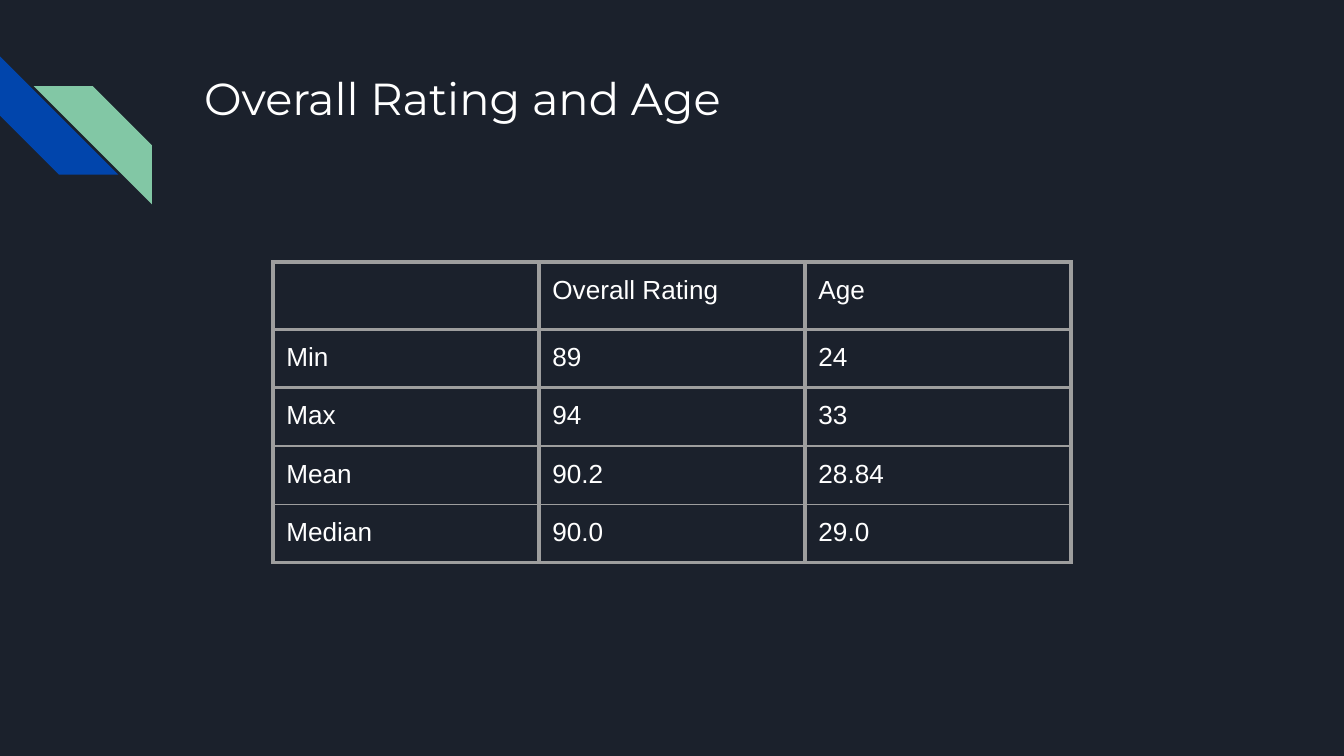
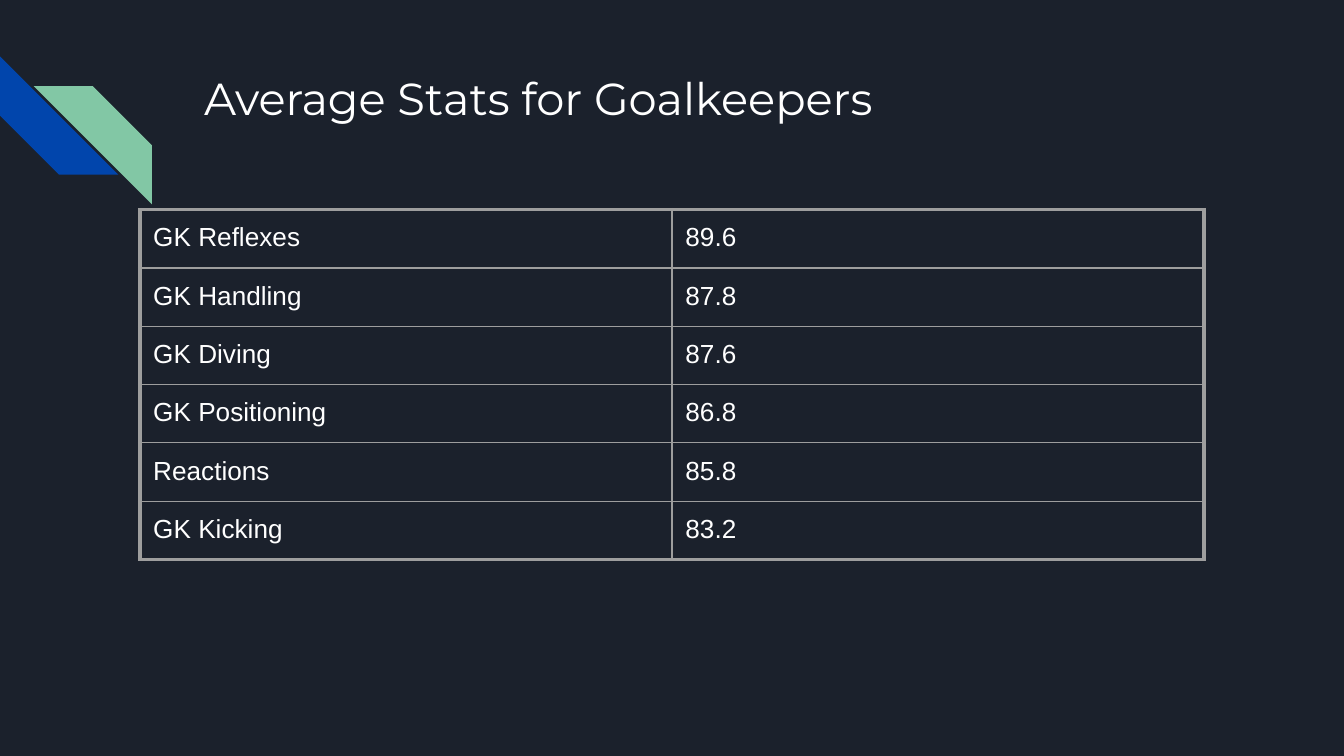
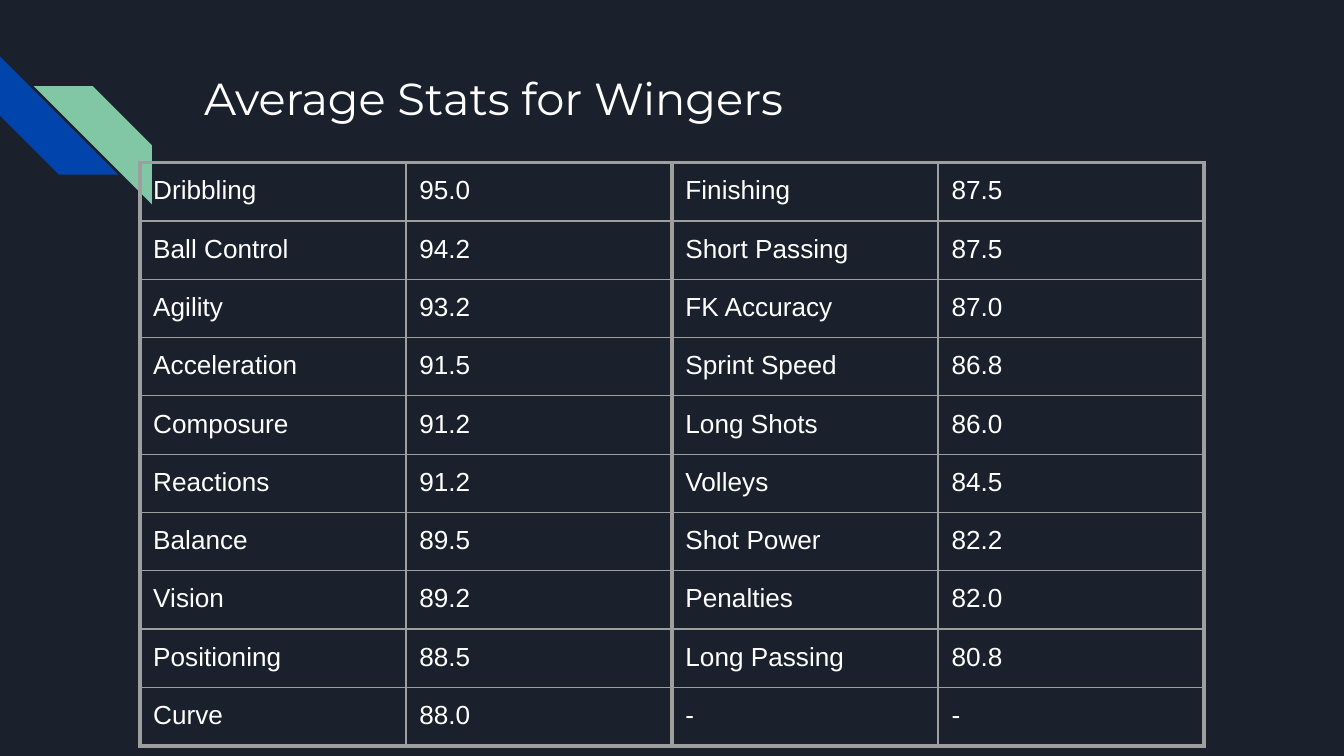
from lxml import etree
from pptx import Presentation
from pptx.dml.color import RGBColor
from pptx.enum.shapes import MSO_SHAPE
from pptx.oxml.ns import qn
from pptx.util import Inches, Pt

STRIPE = MSO_SHAPE.DIAGONAL_STRIPE

NAVY = RGBColor(0x1B, 0x21, 0x2C)
BLUE = RGBColor(0x01, 0x45, 0xAC)
GREEN = RGBColor(0x82, 0xC7, 0xA5)
WHITE = RGBColor(0xFF, 0xFF, 0xFF)
GREY = RGBColor(0x9E, 0x9E, 0x9E)

THICK = Pt(2.25)
THIN = Pt(0.75)
ROW_HEIGHT = Inches(0.42)
STRIPE_SIZE = Inches(0.88)

TITLE_FONT = {"name": "Montserrat", "size": Pt(24)}
STAT_FONT = {"name": "Arial", "size": Pt(14)}
MARGINS = {f"margin_{side}": Inches(0.1) for side in ("left", "right", "top", "bottom")}
SPACING = {"line_spacing": 1.0, "space_before": Pt(0), "space_after": Pt(0)}
TABLE_FLAGS = {"first_row": False, "horz_banding": False}

STRIPES = [
    (0, 0.42, 270, BLUE),
    (0.25, 0.64, 90, GREEN),
]

SLIDES = [
    {
        "title": "Overall Rating and Age",
        "left": 2.03, "top": 1.95, "column": 1.98,
        "thick_columns": {0, 1, 2, 3}, "thick_rows": {0, 1, 2, 5},
        "stats": [
            ("", "Overall Rating", "Age"),
            ("Min", "89", "24"),
            ("Max", "94", "33"),
            ("Mean", "90.2", "28.84"),
            ("Median", "90.0", "29.0"),
        ],
    },
    {
        "title": "Average Stats for Goalkeepers",
        "left": 1.04, "top": 1.56, "column": 3.96,
        "thick_columns": {0, 2}, "thick_rows": {0, 6},
        "stats": [
            ("GK Reflexes", "89.6"),
            ("GK Handling", "87.8"),
            ("GK Diving", "87.6"),
            ("GK Positioning", "86.8"),
            ("Reactions", "85.8"),
            ("GK Kicking", "83.2"),
        ],
    },
    {
        "title": "Average Stats for Wingers",
        "left": 1.04, "top": 1.21, "column": 1.98,
        "thick_columns": {0, 2, 4}, "thick_rows": {0, 10},
        "stats": [
            ("Dribbling", "95.0", "Finishing", "87.5"),
            ("Ball Control", "94.2", "Short Passing", "87.5"),
            ("Agility", "93.2", "FK Accuracy", "87.0"),
            ("Acceleration", "91.5", "Sprint Speed", "86.8"),
            ("Composure", "91.2", "Long Shots", "86.0"),
            ("Reactions", "91.2", "Volleys", "84.5"),
            ("Balance", "89.5", "Shot Power", "82.2"),
            ("Vision", "89.2", "Penalties", "82.0"),
            ("Positioning", "88.5", "Long Passing", "80.8"),
            ("Curve", "88.0", "-", "-"),
        ],
    },
]


def write(holder, frame, text, font):
    for name, value in MARGINS.items():
        setattr(holder, name, value)
    paragraph = frame.paragraphs[0]
    for name, value in SPACING.items():
        setattr(paragraph, name, value)
    if text:
        run = paragraph.add_run()
        run.text = text
        for name, value in font.items():
            setattr(run.font, name, value)
        run.font.color.rgb = WHITE


def add_border(cell, edge, width):
    line = etree.SubElement(cell._tc.get_or_add_tcPr(), qn(f"a:ln{edge}"), w=str(width))
    fill = etree.SubElement(line, qn("a:solidFill"))
    etree.SubElement(fill, qn("a:srgbClr"), val=str(GREY))


prs = Presentation()
prs.slide_width = Inches(10)
prs.slide_height = Inches(10 * 9 / 16)
background = prs.slide_master.background.fill
background.solid()
background.fore_color.rgb = NAVY

for content in SLIDES:
    slide = prs.slides.add_slide(prs.slide_layouts[6])

    for left, top, rotation, color in STRIPES:
        stripe = slide.shapes.add_shape(
            STRIPE, Inches(left), Inches(top), STRIPE_SIZE, STRIPE_SIZE)
        stripe.rotation = rotation
        stripe.adjustments[0] = 0.5
        stripe.shadow.inherit = False
        stripe.fill.solid()
        stripe.fill.fore_color.rgb = color
        stripe.line.fill.background()

    title = slide.shapes.add_textbox(
        Inches(1.42), Inches(0.43), Inches(7.7), Inches(1)).text_frame
    title.word_wrap = True
    write(title, title, content["title"], TITLE_FONT)

    stats = content["stats"]
    column_count = len(stats[0])
    table = slide.shapes.add_table(
        len(stats), column_count, Inches(content["left"]), Inches(content["top"]),
        Inches(content["column"]) * column_count, ROW_HEIGHT * len(stats)).table
    for name, value in TABLE_FLAGS.items():
        setattr(table, name, value)

    for r, row in enumerate(stats):
        for c, stat in enumerate(row):
            cell = table.cell(r, c)
            write(cell, cell.text_frame, stat, STAT_FONT)
            for edge, position, thick in (
                ("L", c, content["thick_columns"]),
                ("R", c + 1, content["thick_columns"]),
                ("T", r, content["thick_rows"]),
                ("B", r + 1, content["thick_rows"]),
            ):
                add_border(cell, edge, THICK if position in thick else THIN)
            cell.fill.background()

prs.save("out.pptx")
